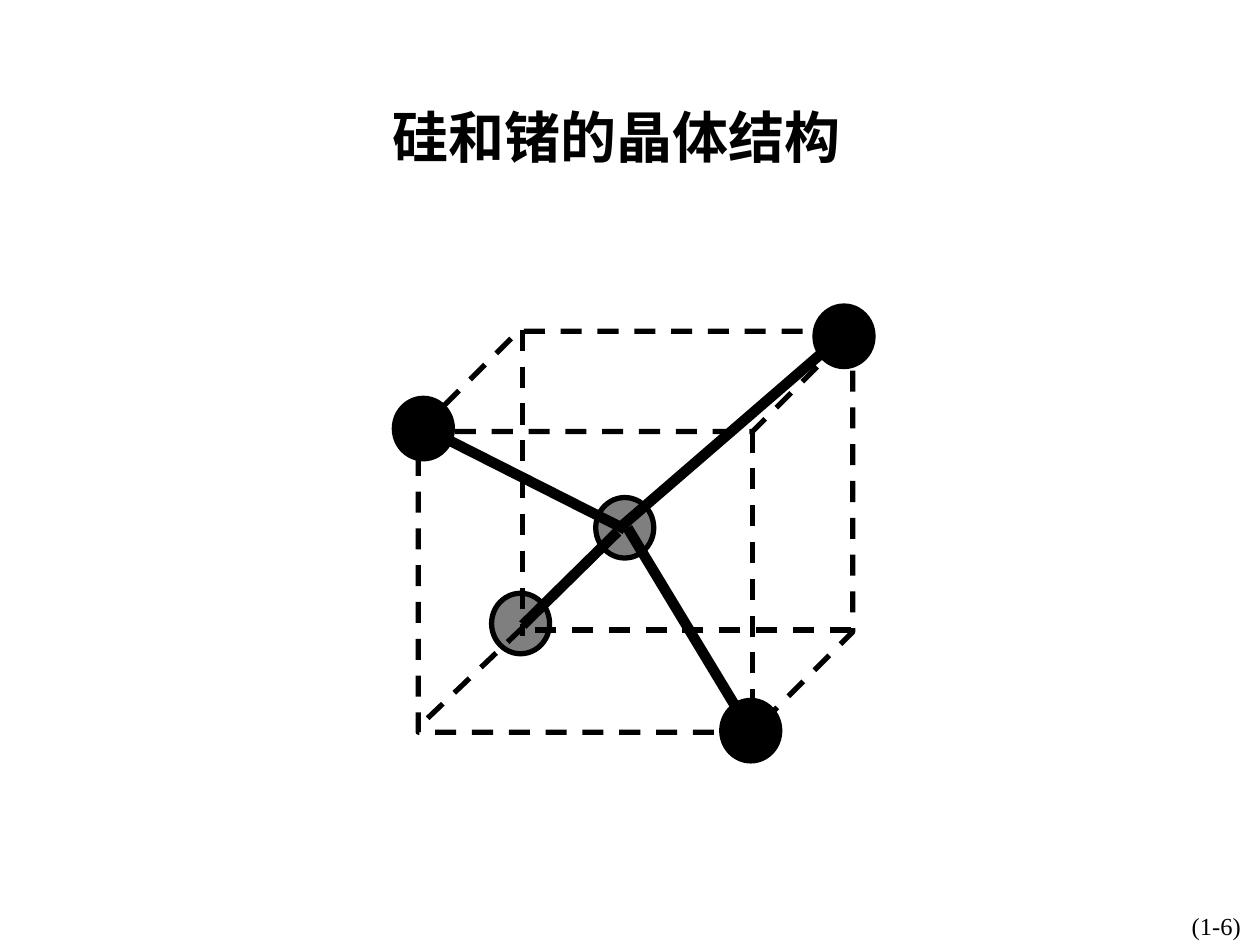
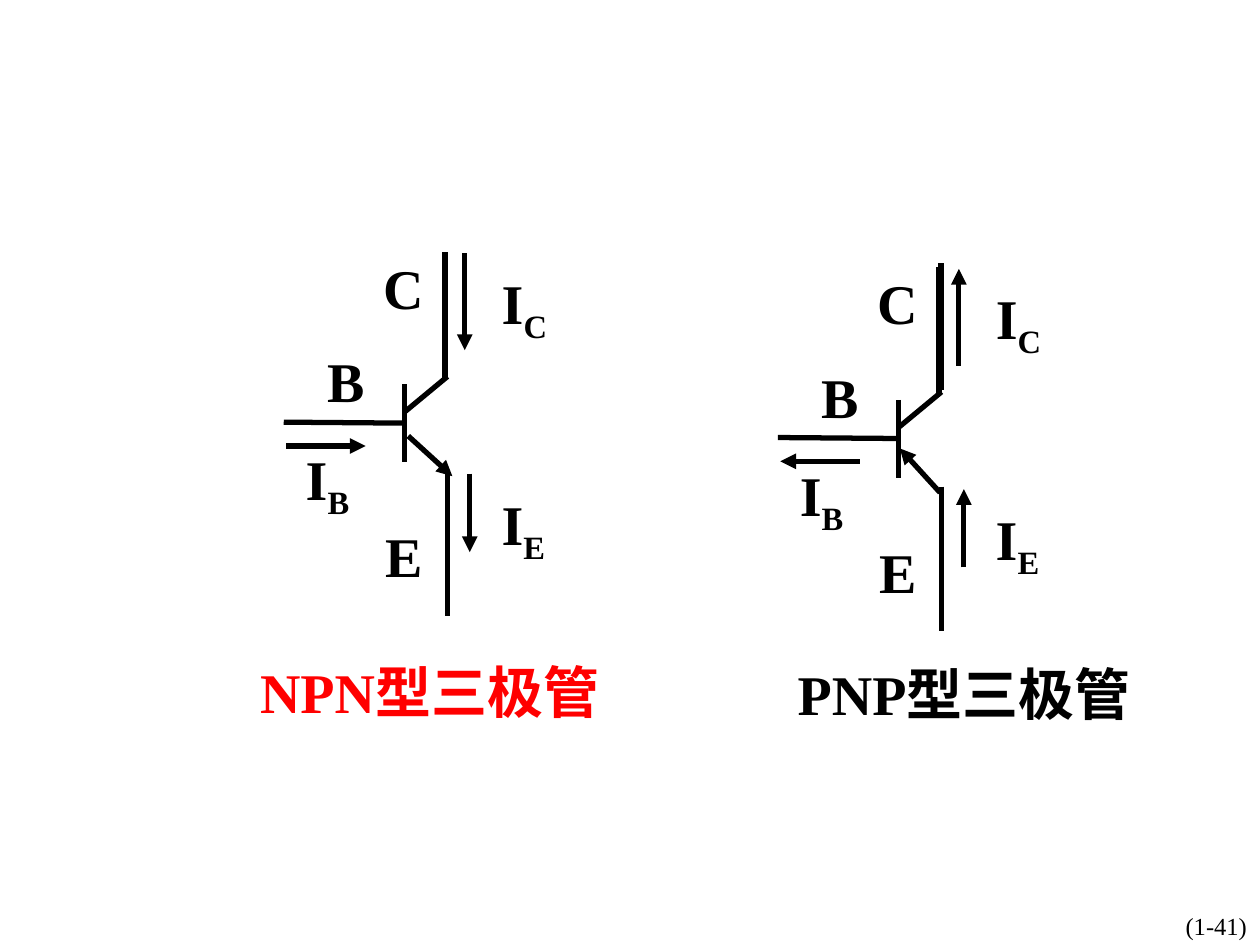
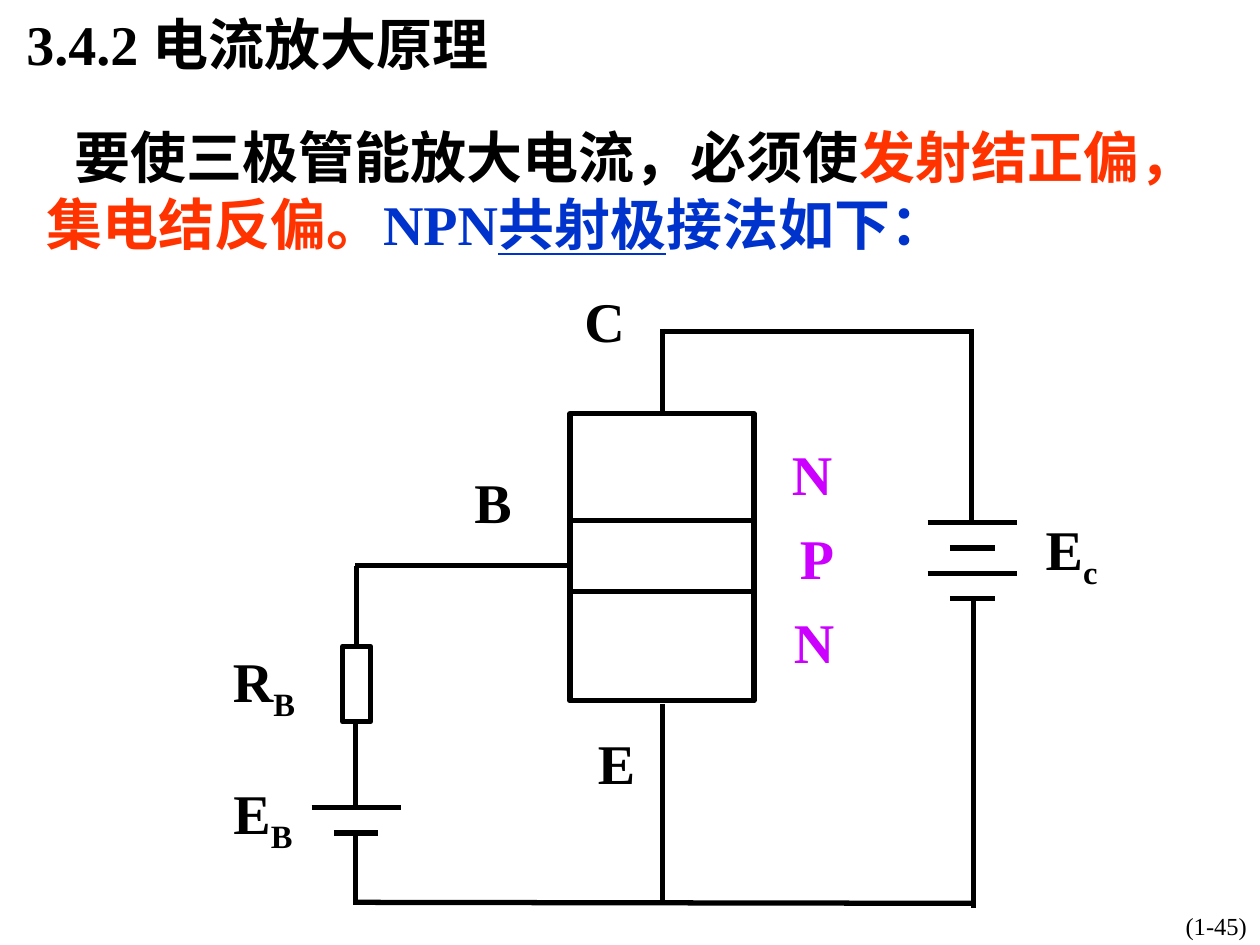
from dataclasses import dataclass
from itertools import accumulate

from lxml import etree
from pptx import Presentation
from pptx.dml.color import RGBColor
from pptx.enum import dml, shapes, text
from pptx.oxml.ns import qn
from pptx.util import Cm, Pt


@dataclass(frozen=True)
class Theme:
    font: str = "Times New Roman"
    black: str = "000000"
    red: str = "FF0000"
    orange: str = "FF3300"
    blue: str = "0033CC"
    violet: str = "CC00FF"
    body: int = 32
    footer: int = 14
    thin: int = 3
    thick: int = 6


T = Theme()
TITLE_ONLY, BLANK = 5, 6
LEFT, CENTER = text.PP_ALIGN.LEFT, text.PP_ALIGN.CENTER


# ---- text ----
def write(sp, *runs, size=T.body, color=T.black, bold=True, align=CENTER,
          wrap=True, indent=0):
    """Fill a shape with runs, each a string or (string, run options)."""
    tf = sp.text_frame
    tf.auto_size = text.MSO_AUTO_SIZE.NONE
    tf.word_wrap = wrap
    tf.vertical_anchor = text.MSO_ANCHOR.MIDDLE
    p = tf.paragraphs[0]
    p.alignment = align
    if indent:
        p._p.get_or_add_pPr().set("indent", str(Cm(indent)))
    for run in runs:
        words, opts = (run, {}) if isinstance(run, str) else run
        r = p.add_run()
        r.text = words
        f = r.font
        f.name, f.size, f.bold = T.font, Pt(size), bold
        f.color.rgb = RGBColor.from_string(opts.get("color", color))
        if opts.get("underline"):
            f.underline = True
        if opts.get("sub"):
            r._r.get_or_add_rPr().set("baseline", "-25000")


def text_box(s, x, y, w, h, *runs, **fmt):
    sp = s.shapes.add_textbox(Cm(x), Cm(y), Cm(w), Cm(h))
    write(sp, *runs, **fmt)


def label(s, cx, cy, letter, sub=None, color=T.black):
    """Letter with optional subscript, centred on a point."""
    w, h = (1.6, 1.8) if sub else (1.3, 1.63)
    runs = [letter] + ([(sub, {"sub": True})] if sub else [])
    text_box(s, cx - w / 2, cy - h / 2, w, h, *runs, color=color, wrap=False)


def title(s, x, y, w, words):
    sp = s.shapes.title
    sp.left, sp.top, sp.width, sp.height = Cm(x), Cm(y), Cm(w), Cm(1.63)
    write(sp, words, align=LEFT)


def new_slide(prs, layout, number):
    s = prs.slides.add_slide(prs.slide_layouts[layout])
    text_box(s, 22.07, 18.24, 4.9, 0.84, f"(1-{number})", size=T.footer, bold=False)
    return s


# ---- lines and shapes ----
def stroke(ln, width, dashed=False):
    ln.color.rgb = RGBColor.from_string(T.black)
    ln.width = Pt(width)
    if dashed:
        ln.dash_style = dml.MSO_LINE.DASH


def line(s, start, end, width=T.thin, dashed=False, arrow=False):
    c = s.shapes.add_connector(shapes.MSO_CONNECTOR.STRAIGHT,
                               *(Cm(v) for v in (*start, *end)))
    stroke(c.line, width, dashed)
    if arrow:
        etree.SubElement(c.line._get_or_add_ln(), qn("a:tailEnd"), type="triangle")
    etree.SubElement(c._element.spPr, qn("a:effectLst"))


def outline(s, kind, x, y, w, h, fill=None, opacity=100, dashed=False):
    sp = s.shapes.add_shape(kind, Cm(x), Cm(y), Cm(w), Cm(h))
    sp.shadow.inherit = False
    stroke(sp.line, T.thin, dashed)
    if fill is None:
        sp.fill.background()
        return
    sp.fill.solid()
    sp.fill.fore_color.rgb = RGBColor.from_string(fill)
    if opacity < 100:
        rgb = sp._element.spPr.find(f"{qn('a:solidFill')}/{qn('a:srgbClr')}")
        etree.SubElement(rgb, qn("a:alpha"), val=str(opacity * 1000))


def atom(s, x, y, opacity=100):
    outline(s, shapes.MSO_SHAPE.OVAL, x, y, 1.17, 1.22, T.black, opacity)


def battery(s, cx, top, plates):
    """Alternate long and short plates at an equal pitch."""
    for i in range(plates):
        half, y = (0.45 if i % 2 else 0.9), top + 0.51 * i
        line(s, (cx - half, y), (cx + half, y))


def transistor(s, dx, dy, emitter, reverse=False):
    """Transistor symbol with its terminal letters and current arrows."""
    def at(point):
        return point[0] + dx, point[1] + dy

    leads = [((5.72, 8.51), (8.2, 8.53)), ((8.15, 7.75), (8.15, 9.32)),
             ((8.15, 8.31), (9.02, 7.59)), ((8.97, 5.08), (8.97, 7.65)),
             ((9.02, 9.5), (9.02, 12.42))]
    for a, b in leads:
        line(s, at(a), at(b))
    line(s, at(emitter[0]), at(emitter[1]), arrow=True)

    currents = [((5.77, 8.99), (7.37, 8.99)), ((9.47, 9.55), (9.47, 11.13)),
                ((9.37, 5.11), (9.37, 7.06))]
    for a, b in currents:
        a, b = (b, a) if reverse else (a, b)
        line(s, at(a), at(b), arrow=True)

    for point, *letters in [((6.97, 7.67), "B"), ((8.14, 11.2), "E"),
                            ((8.13, 5.79), "C"), ((6.6, 9.74), "I", "B"),
                            ((10.55, 10.63), "I", "E"), ((10.57, 6.18), "I", "C")]:
        label(s, *at(point), *letters)


# ---- slides ----
def crystal_slide(prs):
    s = new_slide(prs, TITLE_ONLY, 6)
    title(s, 7.65, 1.93, 10.19, "硅和锗的晶体结构")

    # Unit cell with its hidden edges
    outline(s, shapes.MSO_SHAPE.CUBE, 8.43, 6.68, 8.76, 8.08, dashed=True)
    for a, b in [((10.54, 6.65), (10.54, 12.83)), ((17.15, 12.7), (10.49, 12.7)),
                 ((10.54, 12.65), (8.43, 14.66))]:
        line(s, a, b, dashed=True)

    # Atoms and bonds
    for x, y, opacity in [(12.01, 10.03, 50), (7.95, 8.03, 100), (9.91, 11.96, 50),
                          (16.43, 6.17, 100), (14.55, 14.12, 100)]:
        atom(s, x, y, opacity)
    for a, b in [((9.02, 8.86), (12.6, 10.67)), ((12.45, 10.72), (10.54, 12.6)),
                 ((12.65, 10.64), (15.14, 14.76)), ((12.55, 10.59), (17.04, 6.71))]:
        line(s, a, b, T.thick)


def symbols_slide(prs):
    s = new_slide(prs, BLANK, 41)
    transistor(s, 0, 0, emitter=((8.23, 8.79), (9.12, 9.6)))
    text_box(s, 4.55, 13.11, 8.23, 1.63, "NPN型三极管", color=T.red)
    transistor(s, 9.96, 0.31, emitter=((8.99, 9.62), (8.18, 8.73)), reverse=True)
    line(s, (18.97, 5.31), (18.97, 7.87))
    text_box(s, 15.39, 13.16, 8.1, 1.63, "PNP型三极管")


def amplifier_slide(prs):
    s = new_slide(prs, TITLE_ONLY, 45)
    title(s, 0.28, 0.05, 10.77, "3.4.2 电流放大原理")
    text_box(s, 0.69, 2.34, 24.03, 2.97,
             "要使三极管能放大电流，必须使",
             ("发射结正偏，集电结反偏。", {"color": T.orange}),
             ("NPN", {"color": T.blue}),
             ("共射极", {"color": T.blue, "underline": True}),
             ("接法如下：", {"color": T.blue}), align=LEFT, indent=0.56)

    # Semiconductor layers and base resistor
    rect = shapes.MSO_SHAPE.RECTANGLE
    heights = (2.16, 1.42, 2.21)
    for y, h in zip(accumulate(heights, initial=8.34), heights):
        outline(s, rect, 11.49, y, 3.71, h)
    outline(s, rect, 6.91, 13.03, 0.56, 1.52)

    # Batteries and wires
    battery(s, 7.18, 16.28, 2)
    battery(s, 19.6, 10.54, 4)
    for a, b in [((7.16, 14.53), (7.16, 16.28)), ((7.16, 16.79), (7.16, 18.24)),
                 ((7.19, 12.98), (7.19, 11.4)), ((7.16, 11.4), (11.53, 11.4)),
                 ((19.58, 6.68), (19.58, 10.54)), ((19.63, 12.04), (19.63, 18.31)),
                 ((13.36, 14.2), (13.36, 18.21)), ((13.36, 6.63), (13.36, 8.36)),
                 ((7.16, 18.19), (19.66, 18.21)), ((13.34, 6.68), (19.63, 6.68))]:
        line(s, a, b)

    # Terminals, components and layer types
    for cx, cy, *letters in [(9.94, 10.11, "B"), (12.43, 15.37, "E"),
                             (12.19, 6.45, "C"), (5.3, 16.47, "E", "B"),
                             (5.32, 13.8, "R", "B"), (21.6, 11.14, "E", "c")]:
        label(s, cx, cy, *letters)
    for cx, cy, layer in [(16.37, 9.53, "N"), (16.47, 11.23, "P"), (16.41, 12.93, "N")]:
        label(s, cx, cy, layer, color=T.violet)


def main():
    prs = Presentation()
    prs.slide_width, prs.slide_height = Cm(25.4), Cm(19.05)
    crystal_slide(prs)
    symbols_slide(prs)
    amplifier_slide(prs)
    prs.save("out.pptx")


if __name__ == "__main__":
    main()
